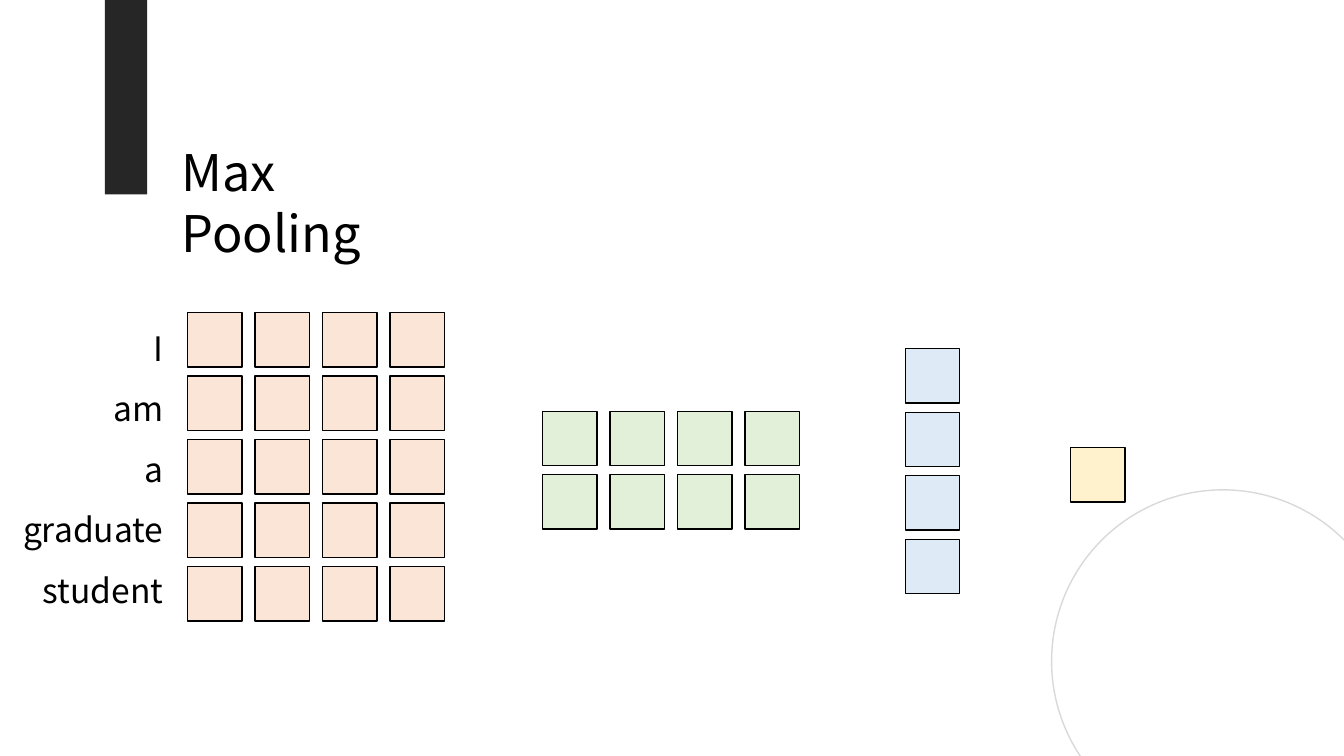
from dataclasses import dataclass
from itertools import product

from pptx import Presentation
from pptx.dml.color import RGBColor
from pptx.enum.shapes import MSO_SHAPE
from pptx.enum.text import MSO_ANCHOR, MSO_AUTO_SIZE, PP_ALIGN
from pptx.util import Inches, Pt


@dataclass(frozen=True)
class Theme:
    ink: str = "000000"
    bar: str = "262626"
    ring: str = "D9D9D9"
    peach: str = "FBE5D6"
    green: str = "E2F0D9"
    blue: str = "DEEBF7"
    yellow: str = "FFF2CC"
    title_font: str = "Noto Sans CJK JP"
    word_font: str = "Noto Sans CJK KR"
    title_size: int = 36
    word_size: int = 24


THEME = Theme()
CELL, COL_PITCH, ROW_PITCH = 0.54, 0.67, 0.63
WORDS = ["I", "am", "a", "graduate", "student"]


def place(sp, left, top, width, height):
    box = dict(left=left, top=top, width=width, height=height)
    for name, value in box.items():
        setattr(sp, name, Inches(value))


def add_block(s, kind, box, fill=None, line=None):
    sp = s.shapes.add_shape(kind, *map(Inches, box))
    sp.shadow.inherit = False
    if fill:
        sp.fill.solid()
        sp.fill.fore_color.rgb = RGBColor.from_string(fill)
    else:
        sp.fill.background()
    if line:
        sp.line.color.rgb = RGBColor.from_string(line)
        sp.line.width = Pt(1)
    else:
        sp.line.fill.background()


def add_grid(s, left, top, rows, cols, fill):
    for row, col in product(range(rows), range(cols)):
        box = (left + col * COL_PITCH, top + row * ROW_PITCH, CELL, CELL)
        add_block(s, MSO_SHAPE.RECTANGLE, box, fill, THEME.ink)


def write(tf, lines, font, size, align, spacing):
    frame = dict(word_wrap=True, auto_size=MSO_AUTO_SIZE.NONE,
                 vertical_anchor=MSO_ANCHOR.TOP)
    for name, value in frame.items():
        setattr(tf, name, value)
    for i, line in enumerate(lines):
        p = tf.paragraphs[0] if i == 0 else tf.add_paragraph()
        p.alignment, p.line_spacing = align, spacing
        r = p.add_run()
        r.text = line
        for name, value in dict(name=font, size=Pt(size)).items():
            setattr(r.font, name, value)
        r.font.color.rgb = RGBColor.from_string(THEME.ink)


def add_title(s, text):
    sp = s.shapes.title
    place(sp, 1.7, 1.35, 2.62, 0.71)
    write(sp.text_frame, [text], THEME.title_font, THEME.title_size,
          PP_ALIGN.LEFT, 1.0)


def add_words(s, words):
    sp = s.shapes.add_textbox(*map(Inches, (0, 3, 1.72, 3.13)))
    write(sp.text_frame, words, THEME.word_font, THEME.word_size,
          PP_ALIGN.RIGHT, 1.5)


def main():
    prs = Presentation()
    prs.slide_width, prs.slide_height = Inches(13.33), Inches(7.5)
    s = prs.slides.add_slide(prs.slide_layouts[5])
    add_block(s, MSO_SHAPE.OVAL, (10.43, 4.86, 3.4, 3.4), line=THEME.ring)
    add_block(s, MSO_SHAPE.RECTANGLE, (1.04, 0, 0.42, 1.93), fill=THEME.bar)
    add_title(s, "Max Pooling")
    add_words(s, WORDS)
    add_grid(s, 1.86, 3.1, len(WORDS), 4, THEME.peach)
    add_grid(s, 5.38, 4.08, 2, 4, THEME.green)
    add_grid(s, 8.98, 3.46, 4, 1, THEME.blue)
    add_grid(s, 10.62, 4.44, 1, 1, THEME.yellow)
    prs.save("out.pptx")


if __name__ == "__main__":
    main()
